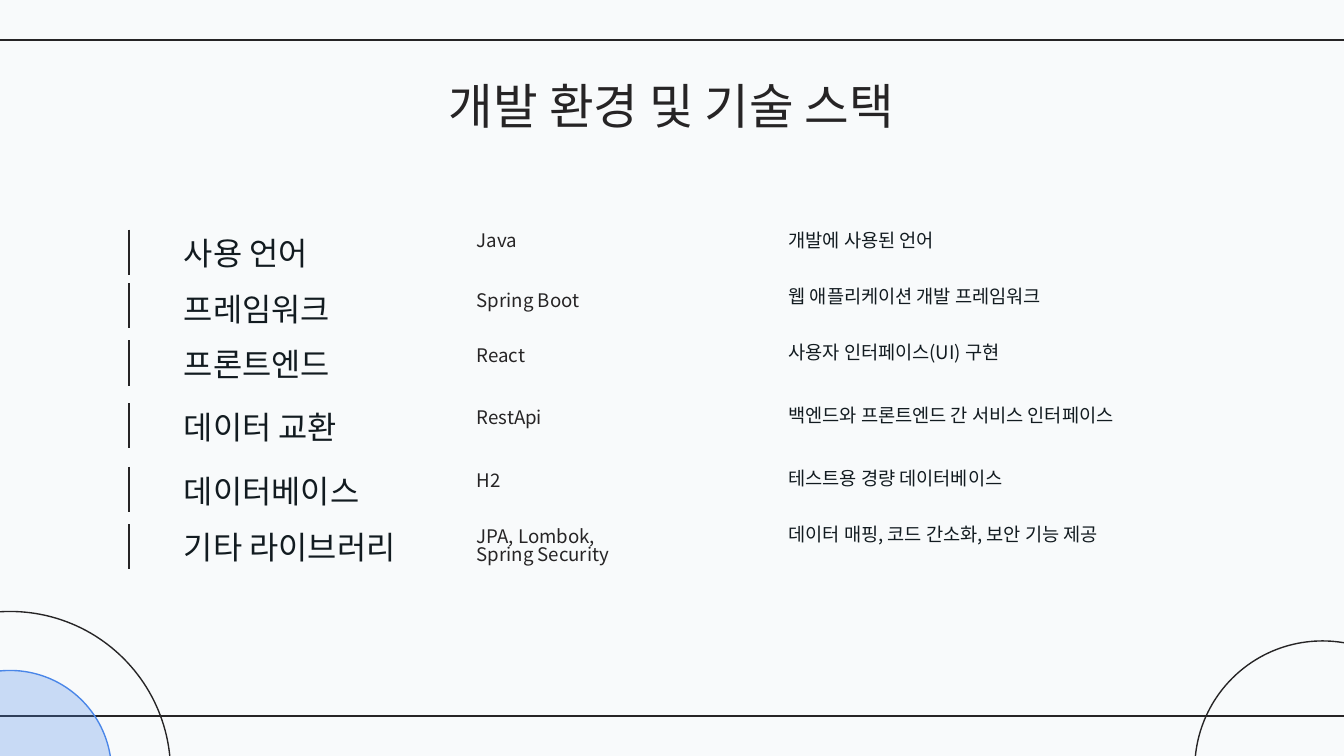
from lxml.etree import SubElement
from pptx import Presentation
from pptx.dml.color import RGBColor
from pptx.enum.shapes import MSO_CONNECTOR, MSO_SHAPE
from pptx.enum.text import MSO_ANCHOR, PP_ALIGN
from pptx.oxml.ns import qn
from pptx.util import Pt

# Content: category, technologies (one per line), description
TITLE = "개발 환경 및 기술 스택"
STACK = [
    ("사용 언어", ["Java"], "개발에 사용된 언어"),
    ("프레임워크", ["Spring Boot"], "웹 애플리케이션 개발 프레임워크"),
    ("프론트엔드", ["React"], "사용자 인터페이스(UI) 구현"),
    ("데이터 교환", ["RestApi"], "백엔드와 프론트엔드 간 서비스 인터페이스"),
    ("데이터베이스", ["H2"], "테스트용 경량 데이터베이스"),
    ("기타 라이브러리", ["JPA, Lombok,", "Spring Security"],
     "데이터 매핑, 코드 간소화, 보안 기능 제공"),
]

# Row tops in points: category, bar, technology
ROW_TOPS = [
    (123.1, 123.1, 119.5),
    (153.2, 151.7, 151.9),
    (183, 182.4, 181.4),
    (216.8, 216, 214.6),
    (250.6, 250.1, 248.4),
    (280.8, 280.8, 275.8),
]
DESCRIPTION_RISE = 3.6
BAR_X, CATEGORY_X, TECH_X, DESCRIPTION_X = 69.2, 91.4, 248.4, 415.4
ROW_HEIGHT, LINE_HEIGHT = 24.2, 14.4 * 0.5

FONT = "Noto Sans CJK KR"
PAPER = RGBColor(0xF8, 0xFA, 0xFB)
INK = RGBColor(0x26, 0x24, 0x25)
DARK = RGBColor(0x12, 0x1B, 0x20)
BLUE = RGBColor(0x4A, 0x86, 0xE8)
WIDTH, HEIGHT = 720, 405

prs = Presentation()
prs.slide_width, prs.slide_height = Pt(WIDTH), Pt(HEIGHT)
slide = prs.slides.add_slide(prs.slide_layouts[5])
slide.background.fill.solid()
slide.background.fill.fore_color.rgb = PAPER


def write(box, lines, size, color, anchor, align=PP_ALIGN.LEFT, spacing=1.0):
    frame = box.text_frame
    frame.word_wrap = True
    frame.vertical_anchor = anchor
    frame.margin_left = frame.margin_right = Pt(7.2)
    frame.margin_top = frame.margin_bottom = Pt(7.2)
    frame.text = "\n".join(lines)
    for paragraph in frame.paragraphs:
        paragraph.alignment = align
        paragraph.line_spacing = spacing
        font = paragraph.font
        font.name, font.size, font.color.rgb = FONT, Pt(size), color
        # Hangul takes the East Asian typeface
        defaults = paragraph._p.pPr.find(qn("a:defRPr"))
        SubElement(defaults, qn("a:ea")).set("typeface", FONT)


def add_text(left, top, width, height, *args, **kwargs):
    box = slide.shapes.add_textbox(Pt(left), Pt(top), Pt(width), Pt(height))
    write(box, *args, **kwargs)


def add_line(x1, y1, x2, y2):
    line = slide.shapes.add_connector(
        MSO_CONNECTOR.STRAIGHT, Pt(x1), Pt(y1), Pt(x2), Pt(y2))
    line.line.color.rgb, line.line.width = INK, Pt(0.75)
    SubElement(line._element.spPr, qn("a:effectLst"))


def add_circle(center_x, center_y, diameter, color, opacity=None):
    circle = slide.shapes.add_shape(
        MSO_SHAPE.OVAL, Pt(center_x - diameter / 2),
        Pt(center_y - diameter / 2), Pt(diameter), Pt(diameter))
    circle.shadow.inherit = False
    circle.line.color.rgb, circle.line.width = color, Pt(0.75)
    if opacity is None:
        circle.fill.background()
        return
    circle.fill.solid()
    circle.fill.fore_color.rgb = color
    tint = circle._element.spPr.find(qn("a:solidFill"))[0]
    SubElement(tint, qn("a:alpha")).set("val", str(opacity * 1000))


# Frame lines and corner circles
for rule_y in (21.5, 383.5):
    add_line(WIDTH + 1.4, rule_y, -1.4, rule_y)
add_circle(708.5, 411.8, 136.8, INK)
add_circle(5.4, 413.6, 172, INK)
add_circle(5.4, 413.6, 108.8, BLUE, opacity=27)

# Title
title = slide.shapes.title
title.left, title.top, title.width, title.height = (
    Pt(56.7), Pt(32.4), Pt(606.6), Pt(48.2))
write(title, [TITLE], 26, INK, MSO_ANCHOR.MIDDLE, PP_ALIGN.CENTER)

# Stack rows
for (category, techs, description), (category_y, bar_y, tech_y) in zip(
        STACK, ROW_TOPS):
    add_line(BAR_X, bar_y, BAR_X, bar_y + ROW_HEIGHT)
    add_text(CATEGORY_X, category_y, 142, ROW_HEIGHT,
             [category], 17, DARK, MSO_ANCHOR.MIDDLE)
    add_text(TECH_X, tech_y, 157, ROW_HEIGHT + LINE_HEIGHT * (len(techs) - 1),
             techs, 10, INK, MSO_ANCHOR.TOP, spacing=0.83)
    add_text(DESCRIPTION_X, category_y - DESCRIPTION_RISE, 295, ROW_HEIGHT,
             [description], 10, DARK, MSO_ANCHOR.TOP, spacing=0.83)

prs.save("out.pptx")
